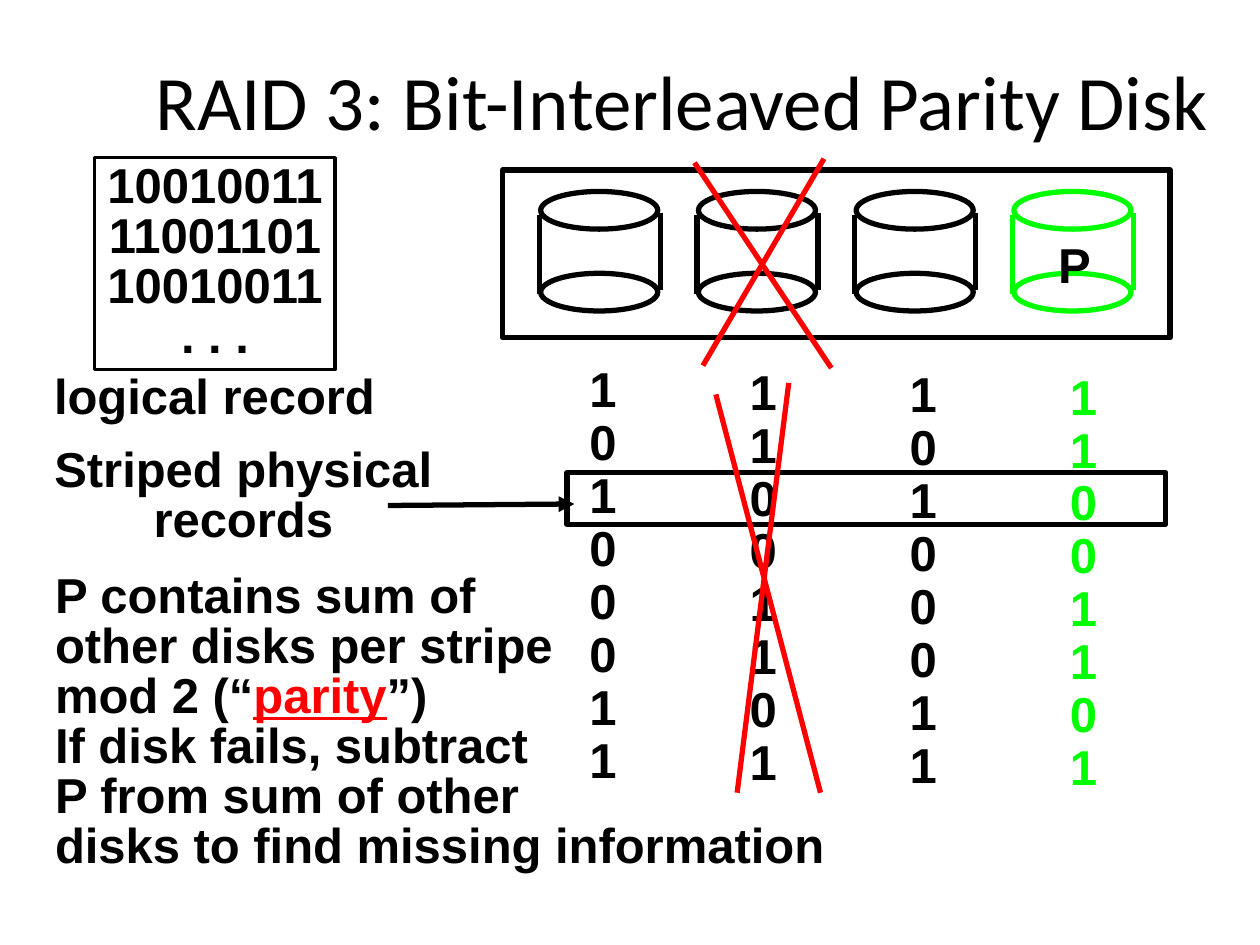
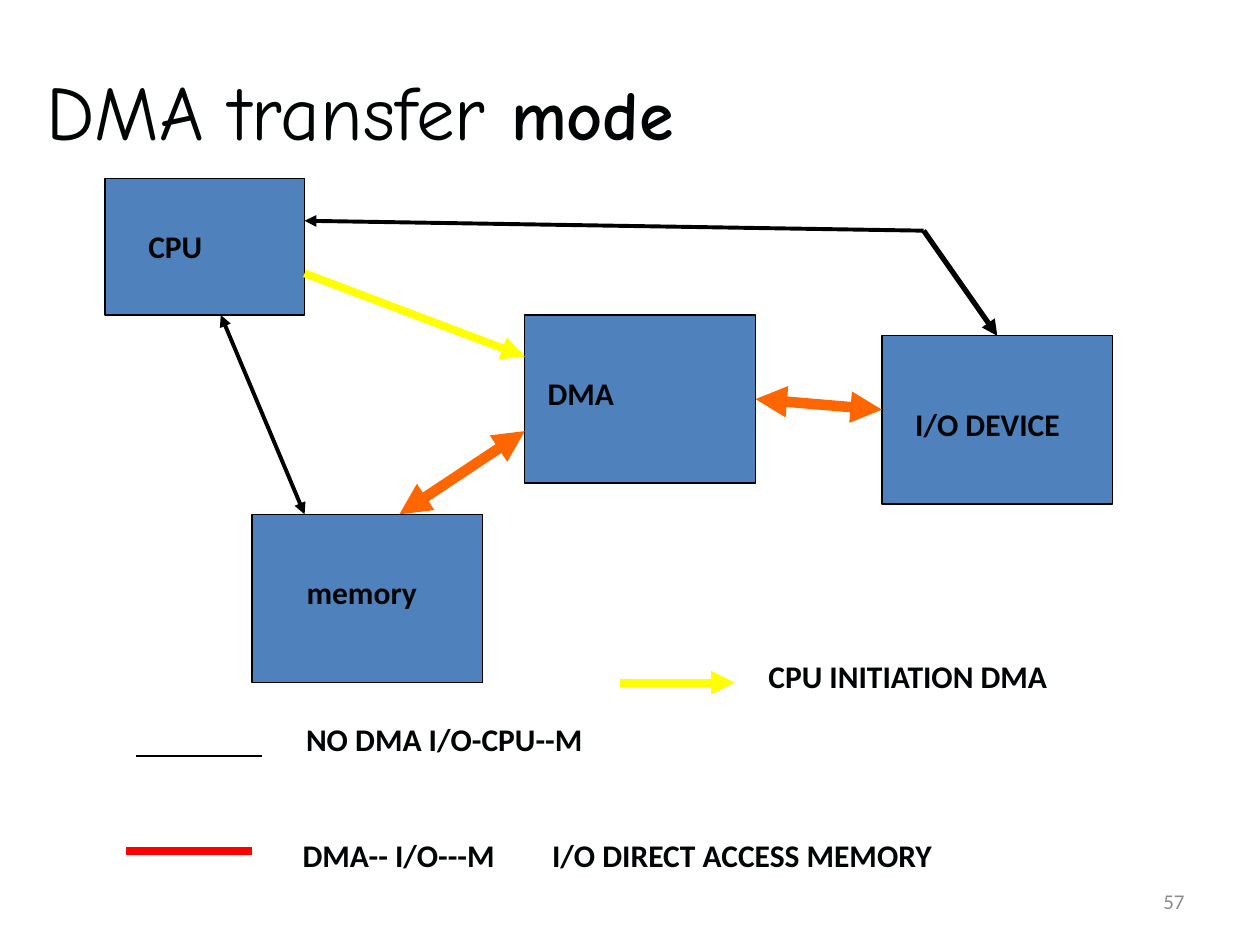
from dataclasses import dataclass

from lxml.etree import SubElement
from pptx import Presentation
from pptx.dml.color import RGBColor
from pptx.enum.shapes import MSO_CONNECTOR as Connector, MSO_SHAPE as Preset
from pptx.enum.text import MSO_ANCHOR as Anchor, MSO_AUTO_SIZE as AutoSize, PP_ALIGN as Align
from pptx.oxml.ns import qn
from pptx.util import Cm, Pt

BLACK, INK, WHITE, GREY = "000000", "000404", "FFFFFF", "8B8B8B"
RED, GREEN, YELLOW, ORANGE, BLUE = "FF0000", "00FF00", "FFFF00", "FF6600", "4F81BD"
BODY_FONT, HEAD_FONT, HAND_FONT = "Arial", "Calibri", "Comic Neue"
TITLE_SIZE = 44


@dataclass
class Box:
    left: float
    top: float
    width: float = 0
    height: float = 0

    def at(self, right, down, width=0, height=0):
        return Box(self.left + right, self.top + down, width, height)

    def point(self, right, down):
        return self.left + right, self.top + down

    def lengths(self):
        return [Cm(value) for value in (self.left, self.top, self.width, self.height)]


def color(hex_text):
    return RGBColor.from_string(hex_text)


def add_run(para, text, size, font, ink, bold=False, underline=None):
    span = para.add_run()
    span.text = text
    span.font.size = Pt(size)
    span.font.name = font
    span.font.bold = bold
    span.font.underline = underline
    span.font.color.rgb = color(ink)


def add_text(slide, box, anchor=Anchor.TOP):
    frame = slide.shapes.add_textbox(*box.lengths()).text_frame
    frame.word_wrap = True
    frame.vertical_anchor = anchor
    return frame


def write_lines(frame, lines, spacing=0.85, align=Align.LEFT, ink=BLACK):
    frame.word_wrap = False
    frame.auto_size = AutoSize.SHAPE_TO_FIT_TEXT
    for index, line in enumerate(lines):
        para = frame.add_paragraph() if index else frame.paragraphs[0]
        para.line_spacing = spacing
        para.alignment = align
        add_run(para, line, 28, BODY_FONT, ink, True)


def add_preset(slide, box, preset, fill, line, width):
    shape = slide.shapes.add_shape(preset, *box.lengths())
    shape.shadow.inherit = False
    if fill:
        shape.fill.solid()
        shape.fill.fore_color.rgb = color(fill)
    else:
        shape.fill.background()
    shape.line.color.rgb = color(line)
    shape.line.width = Pt(width)
    return shape


def add_line(slide, start, end, ink, width, arrows=()):
    points = [Cm(value) for value in (*start, *end)]
    line = slide.shapes.add_connector(Connector.STRAIGHT, *points)
    line.line.color.rgb = color(ink)
    line.line.width = Pt(width)
    properties = line.line._get_or_add_ln()
    for arrow in arrows:
        SubElement(properties, qn(f"a:{arrow}End"), type="triangle")
    SubElement(line._element.spPr, qn("a:effectLst"))
    return line


def add_title(slide, box, spans, align=Align.LEFT):
    para = add_text(slide, box, Anchor.MIDDLE).paragraphs[0]
    para.alignment = align
    for span in spans:
        add_run(para, *span)


def add_disk(slide, box, ink):
    for down in (0, 1.65):
        add_preset(slide, box.at(0.03, down, 2.36, 0.76), Preset.OVAL, WHITE, ink, 3)
    add_line(slide, box.point(0, 0.48), box.point(0, 2.06), ink, 3)
    add_line(slide, box.point(2.44, 0.43), box.point(2.44, 1.98), ink, 3)


def add_disk_array(slide, box):
    for index, ink in enumerate((BLACK, BLACK, BLACK, GREEN)):
        add_disk(slide, box.at(0.74 + 3.18 * index, 0.43), ink)
    add_preset(slide, box, Preset.RECTANGLE, None, BLACK, 3)
    write_lines(add_text(slide, box.at(10.95, 1.35, 1.17, 1.24)), ["P"])


def add_logical_record(slide, box):
    record = add_preset(slide, box, Preset.RECTANGLE, WHITE, BLACK, 2)
    record.text_frame.vertical_anchor = Anchor.MIDDLE
    write_lines(record.text_frame, ["10010011", "11001101", "10010011", ". . ."],
                align=Align.CENTER)
    write_lines(add_text(slide, box.at(-1.07, 4.24, 6.99, 1.24)), ["logical record"])


def add_bit_columns(slide, box):
    columns = (("10100011", BLACK), ("11001101", BLACK),
               ("10100011", BLACK), ("11001101", GREEN))
    for index, (bits, ink) in enumerate(columns):
        column = box.at(3.23 * index, 0.05 * index, 1.04, 8.76)
        write_lines(add_text(slide, column), bits, 0.9, ink=ink)


def add_parity_note(slide, box):
    frame = add_text(slide, box)
    write_lines(frame, ["P contains sum of", "other disks per stripe ",
                        "If disk fails, subtract", "P from sum of other "])
    stripe, recovery = frame.paragraphs[1], frame.paragraphs[3]
    stripe.add_line_break()
    add_run(stripe, "mod 2 (“", 28, BODY_FONT, BLACK, True)
    add_run(stripe, "parity", 28, BODY_FONT, RED, True, True)
    add_run(stripe, "”)", 28, BODY_FONT, BLACK, True)
    recovery.add_line_break()
    add_run(recovery, "disks to find missing information", 28, BODY_FONT, BLACK, True)


def add_stripe(slide, box):
    add_line(slide, box.point(-3.61, 0.66), box.point(0.15, 0.63), BLACK, 3, ["tail"])
    write_lines(add_text(slide, box.at(-10.59, -0.64, 8.13, 2.26)),
                ["Striped physical", "records"], align=Align.CENTER)
    add_preset(slide, box, Preset.RECTANGLE, None, BLACK, 3)


def add_failure_crosses(slide, box):
    strokes = (((0, 0.08), (2.76, 4.22)), ((2.61, 0), (0.17, 4.17)),
               ((0.43, 4.75), (2.54, 12.78)), ((1.9, 4.52), (0.86, 12.78)))
    for start, end in strokes:
        add_line(slide, box.point(*start), box.point(*end), RED, 3)


def build_raid_slide(slide, page):
    add_title(slide, page.at(2.12, 0.42, 23.27, 3.18),
              [("RAID 3: Bit-Interleaved Parity Disk", TITLE_SIZE, HEAD_FONT, BLACK)],
              Align.CENTER)
    add_disk_array(slide, page.at(10.13, 3.43, 13.46, 3.38))
    add_logical_record(slide, page.at(1.91, 3.18, 4.85, 4.27))
    add_bit_columns(slide, page.at(11.63, 7.24))
    add_parity_note(slide, page.at(0.86, 11.43, 16.03, 6.3))
    add_stripe(slide, page.at(11.43, 9.53, 12.07, 1.04))
    add_failure_crosses(slide, page.at(14, 3.2))


def add_caption(slide, box, text):
    frame = add_text(slide, box)
    frame.auto_size = AutoSize.SHAPE_TO_FIT_TEXT
    para = frame.paragraphs[0]
    para.space_before = Pt(9)
    add_run(para, text, 18, HEAD_FONT, INK, True)
    return para


def add_unit(slide, box, name, caption_box):
    unit = add_preset(slide, box, Preset.RECTANGLE, BLUE, BLACK, 0.75)
    add_caption(slide, caption_box, name)
    return unit


def add_transfer_diagram(slide, box):
    cpu = box.at(0, 0, 4.02, 2.75)
    memory, device, dma = (box.at(right, down, 4.65, 3.39)
                           for right, down in ((2.96, 6.77), (15.66, 3.17), (8.46, 2.75)))
    add_unit(slide, cpu, "CPU", cpu.at(0.62, 0.85, 5.28, 1.02))
    add_unit(slide, memory, "memory", memory.at(0.85, 1.06, 3.58, 1.02))
    device_unit = add_unit(slide, device, "I/O DEVICE", device.at(0.42, 1.28, 4.01, 1.02))
    dma_unit = add_unit(slide, dma, "DMA", dma.at(0.21, 1.06, 3.58, 1.02))

    both = ["head", "tail"]
    bend = box.point(16.5, 1.05)
    dma_to_device = add_line(slide, dma.point(4.65, 1.7), device.point(0, 1.49),
                             ORANGE, 6, both)
    dma_to_device.begin_connect(dma_unit, 3)
    add_line(slide, memory.point(2.97, 0), dma.point(0, 2.34), ORANGE, 6, both)
    add_line(slide, cpu.point(4.02, 0.85), bend, BLACK, 2.25, ["head"])
    bend_to_device = add_line(slide, bend, device.point(2.32, 0), BLACK, 3, ["tail"])
    bend_to_device.end_connect(device_unit, 0)
    add_line(slide, cpu.point(2.33, 2.75), memory.point(1.06, 0), BLACK, 2.25, both)
    add_line(slide, cpu.point(4.02, 1.91), dma.point(0, 0.84), YELLOW, 4.5, ["tail"])


def add_legend_entry(slide, box, ink, width, caption_box, text, arrows=()):
    add_line(slide, box.point(0, 0), box.point(box.width, 0), ink, width, arrows)
    return add_caption(slide, caption_box, text)


def add_legend(slide, box):
    start = box.at(9.96, 0, 2.31)
    add_legend_entry(slide, start, YELLOW, 4.5, start.at(2.74, -0.64, 8.66, 1.02),
                     "CPU INITIATION DMA", ["tail"])
    programmed = box.at(0.2, 1.48, 2.54)
    add_legend_entry(slide, programmed, BLACK, 0.75, programmed.at(3.18, -0.84, 7.39, 1.02),
                     "NO DMA I/O-CPU--M")
    direct = box.at(0, 3.39, 2.54)
    para = add_legend_entry(slide, direct, RED, 4.5, direct.at(3.31, -0.43, 19.55, 1.02),
                            "DMA-- I/O---M\tI/O DIRECT ACCESS MEMORY")
    tabs = SubElement(para._p.get_or_add_pPr(), qn("a:tabLst"))
    SubElement(tabs, qn("a:tab"), pos=str(Cm(5.03)), algn="l")


def add_page_number(slide, box, number):
    para = add_text(slide, box, Anchor.MIDDLE).paragraphs[0]
    para.alignment = Align.RIGHT
    add_run(para, number, 12, HEAD_FONT, GREY)


def build_dma_slide(slide, page):
    add_page_number(slide, page.at(18.2, 17.66, 5.93, 1.01), "57")
    add_title(slide, page.at(0.69, 1.12, 23.72, 2.18),
              [("DMA transfer ", TITLE_SIZE, HAND_FONT, INK),
               ("mode", 40, HAND_FONT, INK, True)])
    add_transfer_diagram(slide, page.at(2.12, 3.6))
    add_legend(slide, page.at(2.54, 13.76))


def main():
    deck = Presentation()
    page = Box(0, 0, 25.4, 19.05)
    deck.slide_width, deck.slide_height = Cm(page.width), Cm(page.height)
    for build in (build_raid_slide, build_dma_slide):
        build(deck.slides.add_slide(deck.slide_layouts[6]), page)
    deck.save("out.pptx")


if __name__ == "__main__":
    main()
